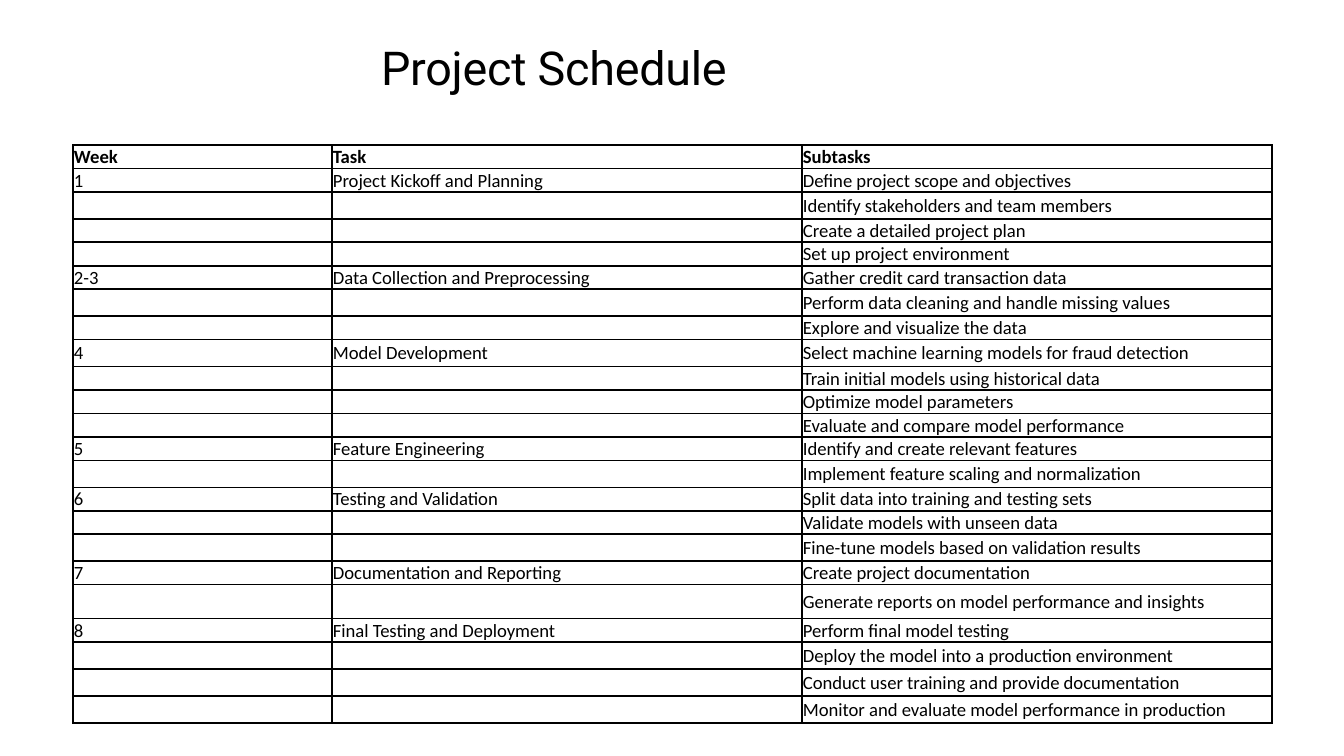
from lxml.etree import SubElement
from pptx import Presentation
from pptx.dml.color import RGBColor
from pptx.enum.text import MSO_ANCHOR as Anchor, MSO_AUTO_SIZE as AutoSize, PP_ALIGN as Align
from pptx.oxml.ns import qn
from pptx.util import Emu, Pt

EMU_PER_PX = 914400 / 134.4
LOW, MEDIUM, HIGH = 22, 27, 34  # row heights; low rows grow to fit their text

COLUMN_WIDTHS = [259, 470, 470]
HEADINGS = ("Week", "Task", "Subtasks")
SCHEDULE = [
    ("1", "Project Kickoff and Planning", [
        ("Define project scope and objectives", LOW),
        ("Identify stakeholders and team members", MEDIUM),
        ("Create a detailed project plan", LOW),
        ("Set up project environment", LOW)]),
    ("2-3", "Data Collection and Preprocessing", [
        ("Gather credit card transaction data", LOW),
        ("Perform data cleaning and handle missing values", MEDIUM),
        ("Explore and visualize the data", LOW)]),
    ("4", "Model Development", [
        ("Select machine learning models for fraud detection", MEDIUM),
        ("Train initial models using historical data", LOW),
        ("Optimize model parameters", LOW),
        ("Evaluate and compare model performance", LOW)]),
    ("5", "Feature Engineering", [
        ("Identify and create relevant features", LOW),
        ("Implement feature scaling and normalization", MEDIUM)]),
    ("6", "Testing and Validation", [
        ("Split data into training and testing sets", LOW),
        ("Validate models with unseen data", LOW),
        ("Fine-tune models based on validation results", MEDIUM)]),
    ("7", "Documentation and Reporting", [
        ("Create project documentation", LOW),
        ("Generate reports on model performance and insights", HIGH)]),
    ("8", "Final Testing and Deployment", [
        ("Perform final model testing", LOW),
        ("Deploy the model into a production environment", MEDIUM),
        ("Conduct user training and provide documentation", MEDIUM),
        ("Monitor and evaluate model performance in production", MEDIUM)]),
]


def px(length):
    return Emu(round(length * EMU_PER_PX))


def color(hex_value):
    return RGBColor.from_string(hex_value)


class SlideBuilder:
    ink = "000000"
    title_font, title_size = "Roboto", 25
    body_font, body_size = "Calibri", 10
    border_width = Pt(1)

    def __init__(self, slide):
        self.slide = slide

    def style_font(self, font, name, size, bold=False):
        font.name, font.size, font.bold = name, Pt(size), bold
        font.color.rgb = color(self.ink)

    def title(self, text, left, top, width, height):
        shape = self.slide.shapes.title
        shape.left, shape.top, shape.width, shape.height = map(px, (left, top, width, height))
        frame = shape.text_frame
        frame.text = text
        frame.word_wrap = True
        frame.auto_size = AutoSize.SHAPE_TO_FIT_TEXT
        frame.vertical_anchor = Anchor.TOP
        frame.margin_left = frame.margin_top = px(1)
        frame.margin_right = frame.margin_bottom = 0
        paragraph = frame.paragraphs[0]
        paragraph.alignment = Align.LEFT
        paragraph.space_before = Pt(0.9)
        self.style_font(paragraph.font, self.title_font, self.title_size)
        # Slightly tightened letter spacing
        paragraph.runs[0]._r.get_or_add_rPr().set("spc", "-10")

    def borders(self, cell):
        properties = cell._tc.get_or_add_tcPr()
        for side in ("a:lnL", "a:lnR", "a:lnT", "a:lnB"):
            line = SubElement(properties, qn(side), w=str(self.border_width))
            fill = SubElement(line, qn("a:solidFill"))
            SubElement(fill, qn("a:srgbClr"), val=self.ink)

    def cell(self, cell, text, is_header):
        cell.margin_left = cell.margin_right = cell.margin_top = px(1)
        cell.margin_bottom = 0
        cell.vertical_anchor = Anchor.BOTTOM if is_header else Anchor.MIDDLE
        self.borders(cell)
        cell.fill.background()
        paragraph = cell.text_frame.paragraphs[0]
        self.style_font(paragraph.font, self.body_font, self.body_size, is_header)
        if text:
            paragraph.add_run().text = text
        else:
            # Keep the empty line as low as the text lines
            SubElement(paragraph._p, qn("a:endParaRPr"), sz=str(self.body_size * 100))

    def table(self, rows, heights, widths, left, top):
        frame = self.slide.shapes.add_table(
            len(rows), len(widths), px(left), px(top), px(sum(widths)), px(sum(heights)))
        table = frame.table
        table.first_row = table.horz_banding = False
        for column, width in zip(table.columns, widths):
            column.width = px(width)
        for row_index, (texts, height) in enumerate(zip(rows, heights)):
            table.rows[row_index].height = px(height)
            for column_index, text in enumerate(texts):
                self.cell(table.cell(row_index, column_index), text, row_index == 0)


def main():
    presentation = Presentation()
    presentation.slide_width, presentation.slide_height = px(1344), px(756)
    title_only = presentation.slide_layouts[5]
    builder = SlideBuilder(presentation.slides.add_slide(title_only))

    # Title
    builder.title("Project Schedule", 380, 38, 356, 56)

    # Schedule: week and task show only beside their first subtask
    rows, heights = [HEADINGS], [LOW]
    for week, task, subtasks in SCHEDULE:
        for index, (subtask, height) in enumerate(subtasks):
            rows.append(("", "", subtask) if index else (week, task, subtask))
            heights.append(height)
    builder.table(rows, heights, COLUMN_WIDTHS, 73, 145)

    presentation.save("out.pptx")


if __name__ == "__main__":
    main()
